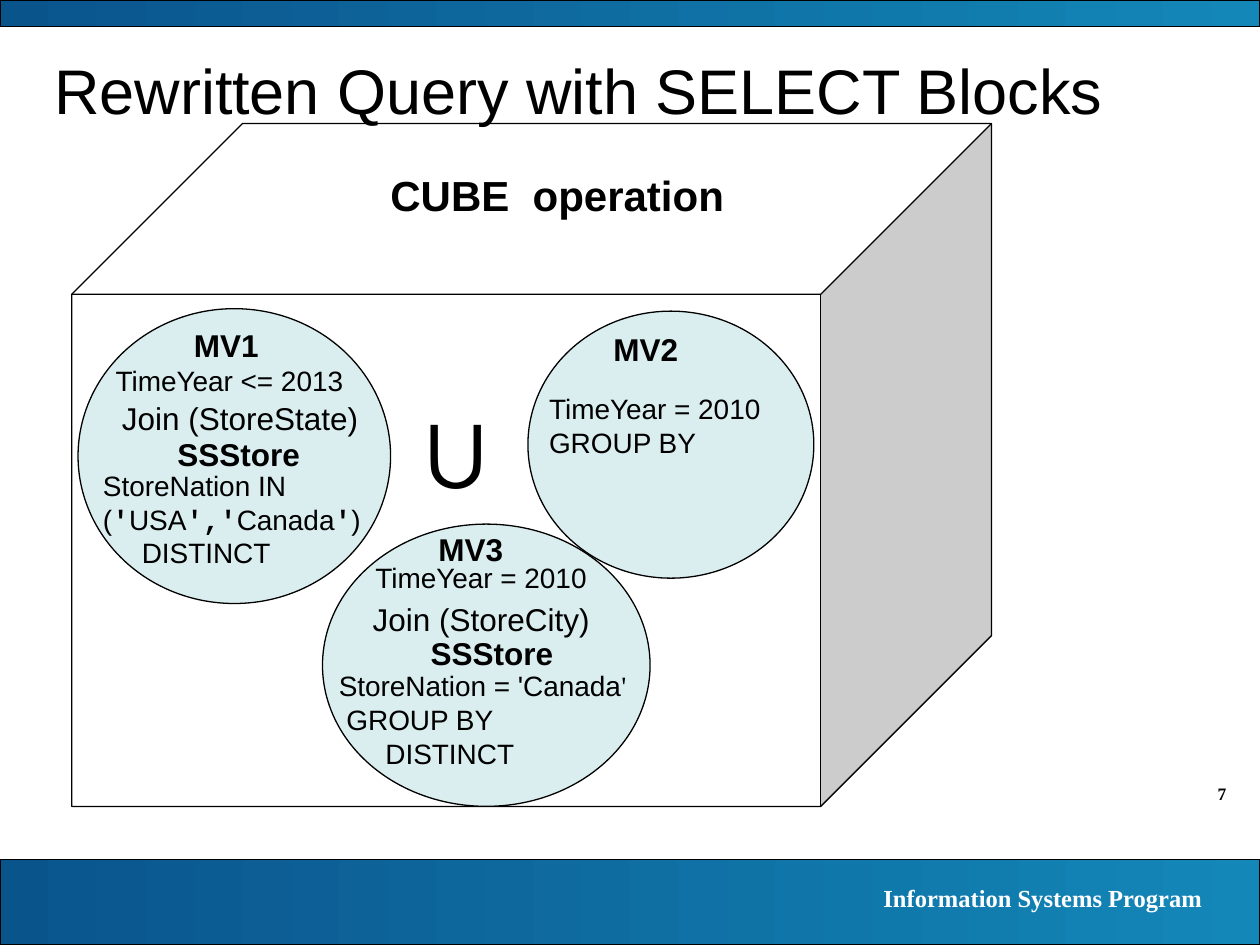
from pptx import Presentation
from pptx.dml.color import RGBColor
from pptx.enum.shapes import MSO_SHAPE as SHAPE
from pptx.enum.text import MSO_ANCHOR as ANCHOR, PP_ALIGN as ALIGN
from pptx.util import Pt


def rgb(value):
    return RGBColor.from_string(value)


def add_text(box, paragraphs, size, bold=False, font="Arial", color="000000",
             align=ALIGN.LEFT, anchor=ANCHOR.TOP, wrap=True):
    """Add a text box; a paragraph is (indent, runs), a run is (text, font, bold).

    A plain string stands for an unindented paragraph in the box's own font.
    """
    tf = slide.shapes.add_textbox(*map(Pt, box)).text_frame
    tf.word_wrap = wrap
    tf.vertical_anchor = anchor
    for i, item in enumerate(paragraphs):
        indent, content = (0, item) if isinstance(item, str) else item
        p = tf.paragraphs[0] if i == 0 else tf.add_paragraph()
        p.alignment = align
        if indent:
            p._p.get_or_add_pPr().set("marL", str(Pt(indent)))
        p.font.size = Pt(size)
        p.font.bold = bold
        p.font.name = font
        p.font.color.rgb = rgb(color)
        if isinstance(content, str):
            p.add_run().text = content
            continue
        for words, run_font, run_bold in content:
            r = p.add_run()
            r.text = words
            r.font.name = run_font
            r.font.bold = run_bold


prs = Presentation()
prs.slide_width, prs.slide_height = Pt(720), Pt(540)
slide = prs.slides.add_slide(prs.slide_layouts[6])

# Bands, cube and circles
SERIF = "Times New Roman"
shapes = [
    (SHAPE.RECTANGLE, (0, 491, 720, 49), None),
    (SHAPE.RECTANGLE, (0, 0, 720, 15), None),
    (SHAPE.CUBE, (41, 70.6, 525.6, 390.2), "FFFFFF"),
    (SHAPE.OVAL, (44.6, 176.4, 178.6, 168.5), "DAEDEF"),
    (SHAPE.OVAL, (301.7, 177.8, 163.4, 152.6), "DAEDEF"),
    (SHAPE.OVAL, (184.3, 299.5, 187.2, 161.3), "DAEDEF"),
]
for kind, box, color in shapes:
    sp = slide.shapes.add_shape(kind, *map(Pt, box))
    sp.shadow.inherit = False
    sp.line.color.rgb = rgb("000000")
    sp.line.width = Pt(0.75)
    if color:
        sp.fill.solid()
        sp.fill.fore_color.rgb = rgb(color)
    else:
        sp.fill.gradient()
        sp.fill.gradient_angle = 0
        for stop, end in zip(sp.fill.gradient_stops, ("0A548C", "1387B8")):
            stop.color.rgb = rgb(end)

# Title, footer and page number
add_text((23.8, 23.8, 660, 54), ["Rewritten Query with SELECT Blocks"], 36,
         anchor=ANCHOR.MIDDLE)
add_text((399.6, 501.1, 294.5, 24.5), ["Information Systems Program"], 14, True,
         SERIF, "FFFFFF", ALIGN.RIGHT)
add_text((648, 444.2, 59.8, 19.4), ["7"], 10, True, SERIF, align=ALIGN.RIGHT)

# Cube labels
add_text((216, 93.6, 216.7, 36), ["CUBE  operation"], 24, True)
add_text((231.8, 216, 61.2, 80), ["∪"], 60, True, wrap=False)

# Single-line labels in the circles: left, top, width, text, size, bold
labels = [
    (103.7, 182.9, 57, "MV1", 18, True),
    (343.4, 185, 57, "MV2", 18, True),
    (243.4, 299.5, 57, "MV3", 18, True),
    (59, 204.5, 160, "TimeYear <= 2013", 16, False),
    (207.4, 316.8, 141, "TimeYear = 2010", 16, False),
    (62.6, 224.6, 153, "Join (StoreState)", 18, False),
    (205.9, 339.1, 143, "Join (StoreCity)", 18, False),
    (94.3, 244.8, 90, "SSStore", 18, True),
    (239, 358.6, 90, "SSStore", 18, True),
]
for left, top, width, words, size, bold in labels:
    add_text((left, top, width, 28), [words], size, bold)

# Conditions in the circles
MONO = "Courier New"
add_text((51.8, 264.2, 182.9, 65.5), [
    (0, [("StoreNation IN (", "Arial", False), ("'", MONO, True),
         ("USA", "Arial", False), ("','", MONO, True),
         ("Canada", "Arial", False), ("'", MONO, True),
         (")", "Arial", False)]),
    (22.2, "DISTINCT"),
], 16)
add_text((306.7, 220.3, 160.6, 46), ["TimeYear = 2010", "GROUP BY"], 16)
add_text((186.5, 378.7, 186.5, 65.5), [
    (0, [("StoreNation = 'Canada", "Arial", False), ("'", SERIF, False)]),
    (4.4, "GROUP BY"),
    (26.7, "DISTINCT"),
], 16)

prs.save("out.pptx")
